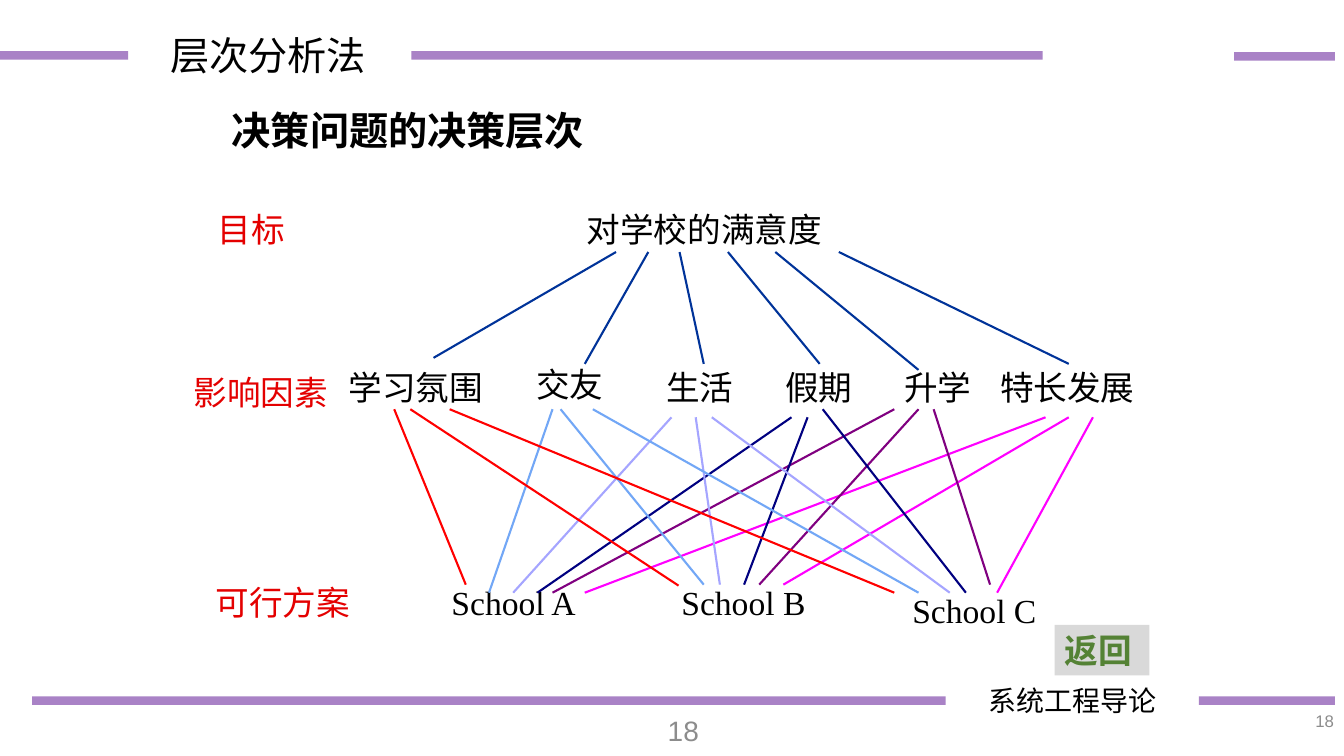
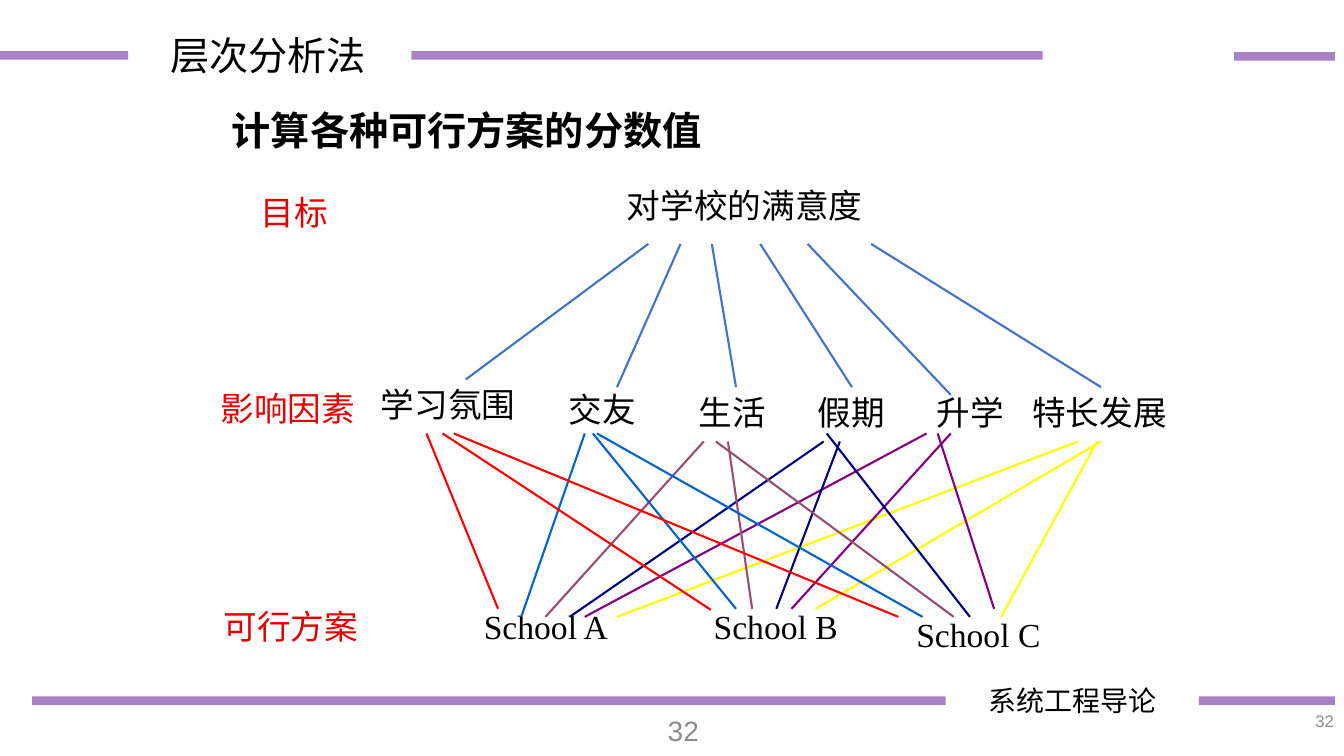
from lxml import etree
from pptx import Presentation
from pptx import util as u
from pptx.dml.color import RGBColor
from pptx.enum import shapes, text
from pptx.oxml.ns import qn

COLORS = {
    "band": "7030A0", "ink": "000000", "stage": "E40000", "number": "8C8C8C",
    "button": "D9D9D9", "button_text": "548235",
    "deep_blue": "003399", "blue": "4472C4", "red": "FF0000", "navy": "000080",
    "purple": "800080", "lavender": "A5A5FF", "sky": "72A7F6", "magenta": "FF00FF",
    "plum": "954F72", "link_blue": "0563C1", "yellow": "FFFF00",
}
CJK = "Noto Sans CJK SC"
SERIF = "Times New Roman"

# Text styles: colour plus font attributes
STYLES = {
    "header": ("ink", {"name": CJK, "size": u.Pt(28)}),
    "title": ("ink", {"name": CJK, "size": u.Pt(28), "bold": True}),
    "course": ("ink", {"name": CJK, "size": u.Pt(20)}),
    "page": ("number", {"name": "Arial", "size": u.Pt(20)}),
    "corner": ("number", {"name": "Arial", "size": u.Pt(12)}),
    "stage": ("stage", {"name": SERIF, "size": u.Pt(24)}),
    "serif": ("ink", {"name": SERIF, "size": u.Pt(24)}),
    "factor": ("ink", {"name": CJK, "size": u.Pt(24)}),
    "button": ("button_text", {"name": CJK, "size": u.Pt(24), "bold": True}),
}
FIT = {"word_wrap": False, "auto_size": text.MSO_AUTO_SIZE.SHAPE_TO_FIT_TEXT}
WRAP = {"word_wrap": True}
MIDDLE = {"word_wrap": True, "vertical_anchor": text.MSO_ANCHOR.MIDDLE}
RIGHT = {"alignment": text.PP_ALIGN.RIGHT}

# Header and footer bands: start x, end x, y
BANDS = [(0, 1.27, 0.55), (4.08, 10.34, 0.55), (12.24, 13.24, 0.56),
         (0.32, 9.38, 6.95), (11.89, 13.24, 6.95)]

# Goal fan: start x, end x, drop
GOAL_FAN = [(2.75, 0.94, 1.05), (3.07, 2.44, 1.11), (3.38, 3.62, 1.11),
            (3.86, 4.77, 1.11), (4.33, 5.75, 1.17), (4.96, 7.24, 1.11)]

# Factors: label, label x, then per school (A, B, C) the link's
# start x, start y, end x and end y, relative to the top of the links
FACTORS = [
    ("学习氛围", 0, [(0.55, 0, 1.26, 1.74), (0.71, 0, 3.37, 1.75), (1.1, 0, 5.51, 1.82)]),
    ("交友", 1.86, [(2.12, 0, 1.49, 1.82), (2.2, 0, 3.62, 1.74), (2.52, 0, 5.75, 1.82)]),
    ("生活", 3.15, [(3.3, 0.08, 1.73, 1.82), (3.54, 0.08, 3.78, 1.74),
                  (3.7, 0.08, 6.06, 1.82)]),
    ("假期", 4.33, [(4.49, 0.08, 1.97, 1.82), (4.65, 0.08, 4.02, 1.74),
                  (4.8, 0, 6.22, 1.82)]),
    ("升学", 5.51, [(5.51, 0, 2.12, 1.82), (5.75, 0, 4.17, 1.74), (5.9, 0, 6.46, 1.74)]),
    ("特长发展", 6.46, [(7.01, 0.08, 2.44, 1.82), (7.24, 0.08, 4.41, 1.74),
                    (7.48, 0.08, 6.53, 1.82)]),
]
# Schools: label, x and y relative to the top of the links
SCHOOLS = [("School A", 1.02, 1.66), ("School B", 3.3, 1.66), ("School C", 5.59, 1.74)]

SLIDES = [
    {
        "page": "18", "title": "决策问题的决策层次", "button": (10.46, 6.2),
        "stages": [("目标", 2.06, 2.02), ("影响因素", 1.82, 3.64), ("可行方案", 2.04, 5.72)],
        "hierarchy": {
            "left": 3.36, "goal": (2.36, 2.02), "fan_top": 2.5, "fan_stretch": 1,
            "fan_color": "deep_blue", "link_top": 4.06, "school_shift": (0, 0, 0),
            "factor_tops": (3.59, 3.56, 3.59, 3.59, 3.59, 3.59),
            "link_colors": ("red", "sky", "lavender", "navy", "purple", "magenta"),
        },
    },
    {
        "page": "32", "title": "计算各种可行方案的分数值", "button": None,
        "stages": [("目标", 2.49, 1.85), ("影响因素", 2.09, 3.8), ("可行方案", 2.12, 5.96)],
        "hierarchy": {
            "left": 3.68, "goal": (2.44, 1.79), "fan_top": 2.42, "fan_stretch": 1.28,
            "fan_color": "blue", "link_top": 4.3, "school_shift": (0, 0, -0.28),
            "factor_tops": (3.76, 3.81, 3.84, 3.84, 3.84, 3.84),
            "link_colors": ("red", "link_blue", "plum", "navy", "purple", "yellow"),
        },
    },
]


def rgb(key):
    return RGBColor.from_string(COLORS[key])


def apply(target, values):
    for name, value in values.items():
        setattr(target, name, value)


def write(frame, words, style, frame_format, paragraph_format=None):
    apply(frame, frame_format)
    paragraph = frame.paragraphs[0]
    apply(paragraph, paragraph_format or {})
    run = paragraph.add_run()
    run.text = words
    color, font_format = STYLES[style]
    apply(run.font, font_format)
    run.font.color.rgb = rgb(color)
    etree.SubElement(run.font._element, qn("a:ea"), typeface=CJK)


def add_label(slide, words, box, style, frame_format=FIT, paragraph_format=None):
    label = slide.shapes.add_textbox(*map(u.Inches, box))
    write(label.text_frame, words, style, frame_format, paragraph_format)


def add_line(slide, start, end, color, width=1.5, opacity=None):
    line = slide.shapes.add_connector(
        shapes.MSO_CONNECTOR.STRAIGHT, *map(u.Inches, (*start, *end)))
    line.line.width = u.Pt(width)
    line.line.color.rgb = rgb(color)
    properties = line._element.spPr
    if opacity:
        shade = properties.find(".//" + qn("a:srgbClr"))
        etree.SubElement(shade, qn("a:alpha"), val=str(opacity * 1000))
    etree.SubElement(properties, qn("a:effectLst"))


def label_width(words):
    return 0.2 + len(words) / 3


def add_frame(slide, page, title):
    """Bands, header, footer, page numbers and title."""
    for start, end, y in BANDS:
        add_line(slide, (start, y), (end, y), "band", 6, 60)
    add_label(slide, "层次分析法", (1.59, 0.26, 2.17, 0.57), "header")
    add_label(slide, "系统工程导论", (9.38, 6.73, 2.51, 0.44), "course", WRAP,
              {"alignment": text.PP_ALIGN.CENTER})
    add_label(slide, page, (6.3, 7.05, 0.73, 0.4), "page", MIDDLE, RIGHT)
    add_label(slide, page, (10.33, 6.95, 3, 0.4), "corner", MIDDLE, RIGHT)
    add_label(slide, title, (2.2, 1.06, 9.39, 0.59), "title", WRAP,
              {"line_spacing": 0.9})


def add_stages(slide, stages):
    for words, left, top in stages:
        add_label(slide, words, (left, top, label_width(words), 0.5), "stage")


def add_hierarchy(slide, left, goal, fan_top, fan_stretch, fan_color, link_top,
                  school_shift, factor_tops, link_colors):
    # Goal and its fan to the factors
    goal_x, goal_y = goal
    add_label(slide, "对学校的满意度", (left + goal_x, goal_y, 2.62, 0.5), "serif")
    for start, end, drop in GOAL_FAN:
        add_line(slide, (left + start, fan_top),
                 (left + end, fan_top + drop * fan_stretch), fan_color)

    # Factors
    for (words, x, _), top in zip(FACTORS, factor_tops):
        add_label(slide, words, (left + x, top, label_width(words), 0.5), "factor")

    # Schools, each with its links from all factors
    for index, (school, x, y) in enumerate(SCHOOLS):
        origin = left + school_shift[index]
        add_label(slide, school, (origin + x, link_top + y, 1.44, 0.5), "serif")
        for (_, _, links), color in zip(FACTORS, link_colors):
            x1, y1, x2, y2 = links[index]
            add_line(slide, (origin + x1, link_top + y1),
                     (origin + x2, link_top + y2), color)


def add_button(slide, left, top):
    button = slide.shapes.add_shape(
        shapes.MSO_SHAPE.RECTANGLE, *map(u.Inches, (left, top, 0.94, 0.5)))
    button.shadow.inherit = False
    button.fill.solid()
    button.fill.fore_color.rgb = rgb("button")
    button.line.fill.background()
    write(button.text_frame, "返回", "button",
          {"word_wrap": True, "vertical_anchor": text.MSO_ANCHOR.TOP},
          {"alignment": text.PP_ALIGN.LEFT})


def main():
    deck = Presentation()
    deck.slide_width, deck.slide_height = u.Inches(13.33), u.Inches(7.5)
    for content in SLIDES:
        slide = deck.slides.add_slide(deck.slide_layouts[6])
        add_frame(slide, content["page"], content["title"])
        add_stages(slide, content["stages"])
        add_hierarchy(slide, **content["hierarchy"])
        if content["button"]:
            add_button(slide, *content["button"])
    deck.save("out.pptx")


if __name__ == "__main__":
    main()
